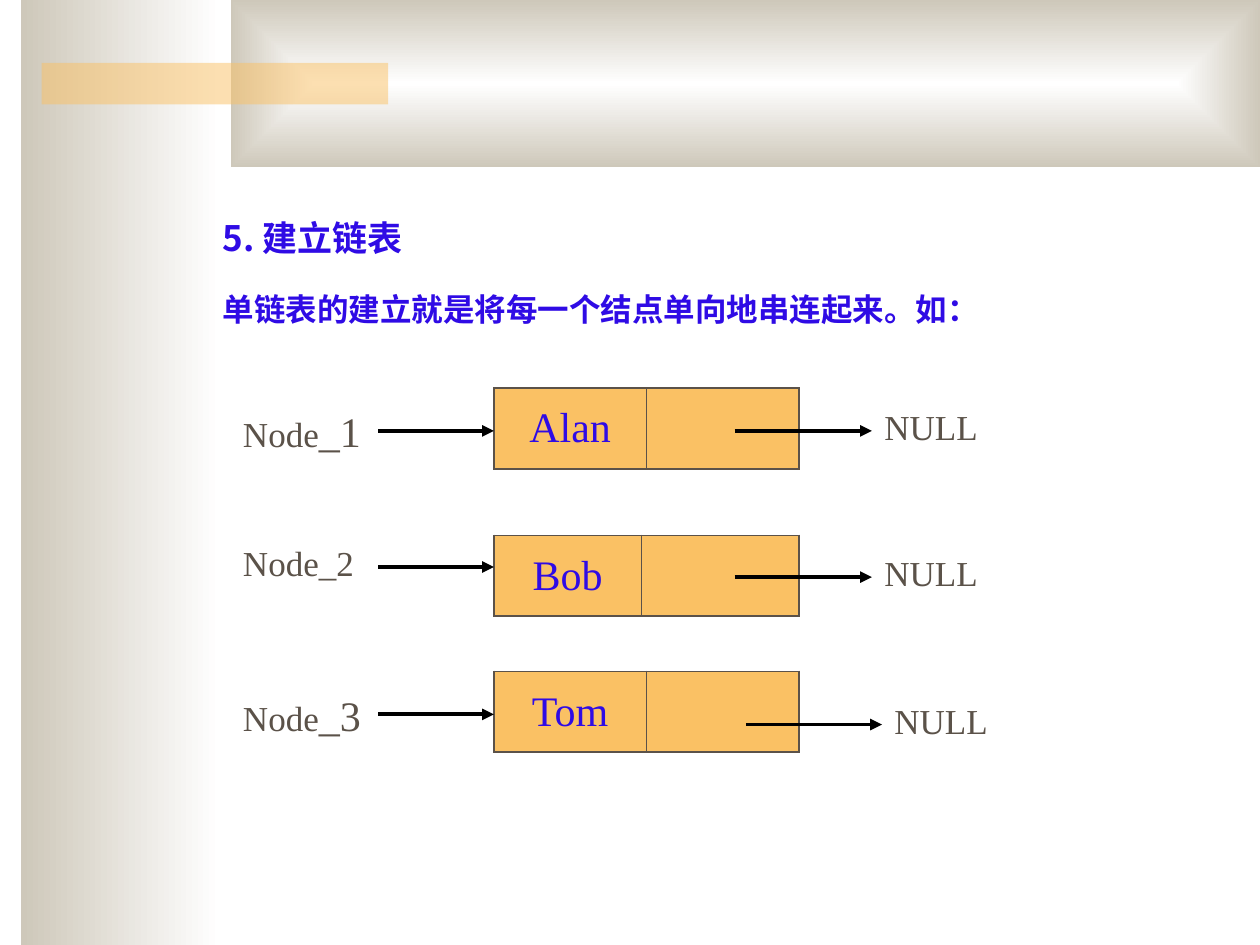
"""Build the slide on creating a singly linked list."""
from lxml.etree import SubElement
from pptx import Presentation
from pptx.dml.color import RGBColor
from pptx.enum.shapes import MSO_CONNECTOR as Connector, MSO_SHAPE as Shape
from pptx.enum.text import MSO_ANCHOR as Anchor, MSO_AUTO_SIZE as AutoSize, PP_ALIGN as Align
from pptx.oxml import parse_xml
from pptx.oxml.ns import nsdecls, qn
from pptx.util import Inches, Pt

WHITE = RGBColor(0xFF, 0xFF, 0xFF)
BLACK = RGBColor(0x00, 0x00, 0x00)
STONE = RGBColor(0xCE, 0xC8, 0xBA)
ORANGE = RGBColor(0xFA, 0xC1, 0x64)
BLUE = RGBColor(0x2F, 0x0B, 0xE5)
BROWN = RGBColor(0x5B, 0x52, 0x49)
SERIF, SANS = "Times New Roman", "Noto Sans CJK SC"

deck = Presentation()
deck.slide_width, deck.slide_height = Inches(10), Inches(7.5)
page = deck.slides.add_slide(deck.slide_layouts[6])


def add_text(left, top, width, height, pieces, color, font=SERIF, bold=False):
    box = page.shapes.add_textbox(Inches(left), Inches(top), Inches(width), Inches(height))
    box.text_frame.word_wrap = True
    box.text_frame.auto_size = AutoSize.SHAPE_TO_FIT_TEXT
    para = box.text_frame.paragraphs[0]
    para.font.name, para.font.bold = font, bold
    para.font.color.rgb = color
    SubElement(para.font._element, qn("a:ea"), typeface=SANS)
    for text, size in pieces:
        span = para.add_run()
        span.text = text
        span.font.size = Pt(size)


def add_arrow(start, end, y):
    arrow = page.shapes.add_connector(
        Connector.STRAIGHT, Inches(start), Inches(y), Inches(end), Inches(y))
    arrow.line.color.rgb = BLACK
    arrow.line.width = Pt(2.25)
    SubElement(arrow.line._get_or_add_ln(), qn("a:tailEnd"), type="triangle")
    SubElement(arrow._element.spPr, qn("a:effectLst"))


panels = []
for left, top, width, height in [(0.17, 0, 1.58, 7.5), (1.83, 0, 8.17, 1.33), (0.33, 0.5, 2.75, 0.33)]:
    panel = page.shapes.add_shape(
        Shape.RECTANGLE, Inches(left), Inches(top), Inches(width), Inches(height))
    panel.shadow.inherit = False
    panel.line.fill.background()
    panels.append(panel)
sidebar, banner, accent = panels

for panel in (sidebar, banner):
    panel.fill.gradient()
    for stop, color in zip(panel.fill.gradient_stops, (WHITE, STONE)):
        stop.color.rgb = color
sidebar.fill.gradient_angle = 180
linear = banner._element.spPr.find(".//" + qn("a:lin"))
linear.getparent().replace(linear, parse_xml(
    f'<a:path {nsdecls("a")} path="rect">'
    '<a:fillToRect l="50000" t="50000" r="50000" b="50000"/></a:path>'))
accent.fill.solid()
accent.fill.fore_color.rgb = ORANGE
SubElement(accent._element.spPr.find(".//" + qn("a:srgbClr")), qn("a:alpha"), val="50000")

add_text(1.67, 1.67, 3.17, 0.44, [("5. 建立链表", 20)], BLUE, SANS, True)
add_text(1.67, 2.25, 6, 0.4, [("单链表的建立就是将每一个结点单向地串连起来。如：", 18)], BLUE, bold=True)

nodes = [
    # name, top, name column width
] or [("Alan", 3.08, 1.21), ("Bob", 4.25, 1.17), ("Tom", 5.33, 1.21)]
for name, top, name_width in nodes:
    frame = page.shapes.add_table(1, 2, Inches(3.92), Inches(top), Inches(2.42), Inches(0.64))
    table = frame.table
    table.first_row = table.horz_banding = False
    table.columns[0].width = Inches(name_width)
    table.columns[1].width = Inches(2.42 - name_width)
    for cell, inner_side in zip(table.rows[0].cells, ("R", "L")):
        for side in "LRTB":
            width = Pt(0.45 if side == inner_side else 1.08)
            border = SubElement(cell._tc.get_or_add_tcPr(), qn(f"a:ln{side}"), w=str(width))
            SubElement(SubElement(border, qn("a:solidFill")), qn("a:srgbClr"), val=str(BROWN))
        cell.fill.solid()
        cell.fill.fore_color.rgb = ORANGE
        cell.vertical_anchor = Anchor.MIDDLE
    para = table.cell(0, 0).text_frame.paragraphs[0]
    para.text, para.alignment = name, Align.CENTER
    para.font.name, para.font.size = SERIF, Pt(24)
    para.font.color.rgb = BLUE

for y in (3.42, 4.5, 5.67):
    add_arrow(3, 3.92, y)
for start, end, y in [(5.83, 6.92, 3.42), (5.83, 6.92, 4.58), (5.92, 7, 5.75)]:
    add_arrow(start, end, y)

for number, top, height, size in [(1, 3.17, 0.5, 24), (2, 4.25, 0.44, 20), (3, 5.42, 0.5, 24)]:
    add_text(1.83, top, 1.42, height, [("Node", 20), (f"_{number}", size)], BROWN)
for left, top, width in [(6.92, 3.17, 1.33), (6.92, 4.33, 1.08), (7, 5.5, 1.33)]:
    add_text(left, top, width, 0.44, [("NULL", 20)], BROWN)

deck.save("out.pptx")
